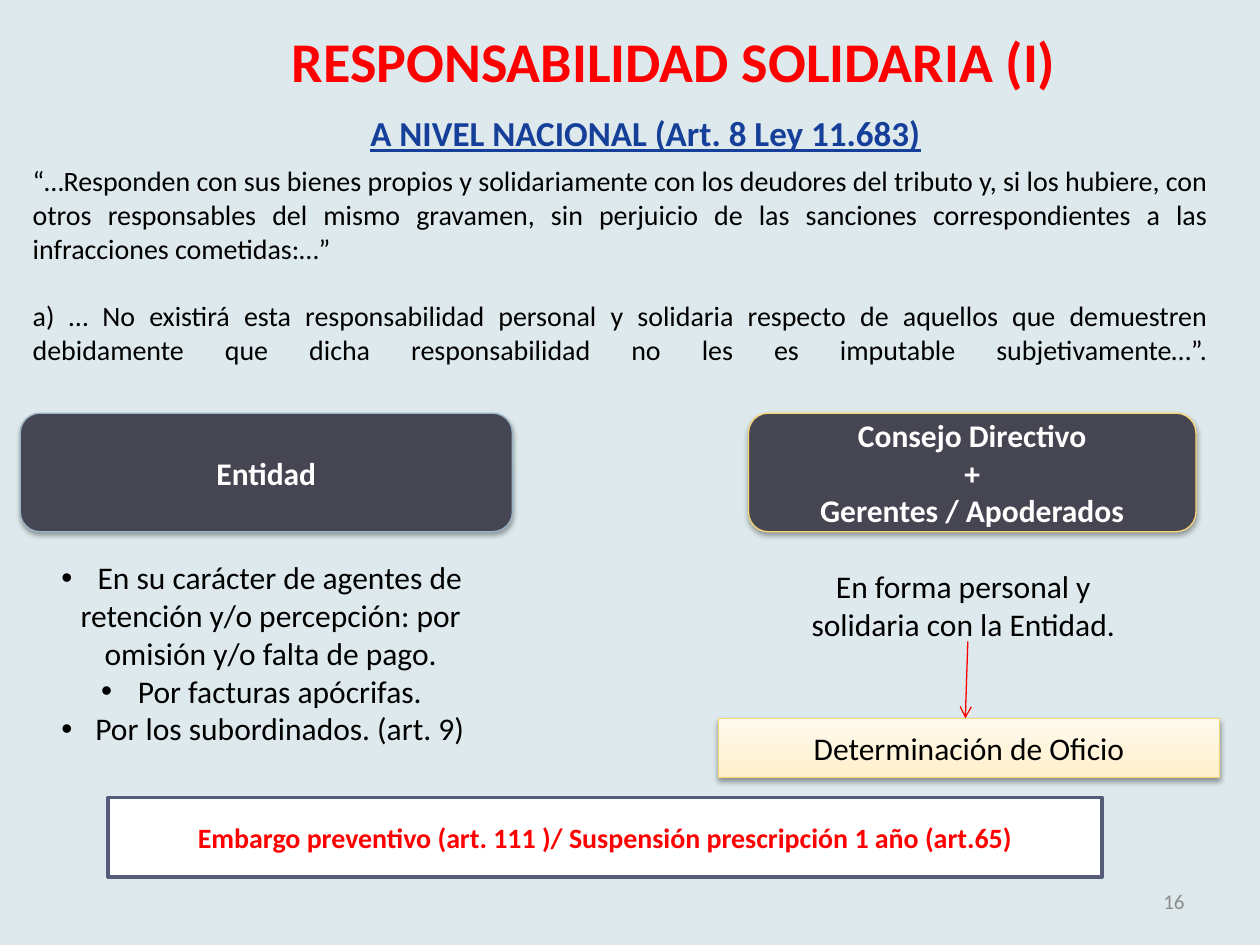
from lxml.etree import SubElement
from pptx import Presentation
from pptx.dml.color import RGBColor
from pptx.enum.shapes import MSO_CONNECTOR, MSO_SHAPE
from pptx.enum.text import MSO_ANCHOR, PP_ALIGN
from pptx.oxml.ns import qn
from pptx.util import Cm, Pt

TITLE = "RESPONSABILIDAD SOLIDARIA (I)"
GOLD, BLACK, RED, WHITE, DARK = "F8D774", "000000", "FF0000", "FFFFFF", "464653"
GRADIENT = [(0, "FFEEC9"), (35, "FFF3D8"), (100, "FFFAF0")]
QUOTE = [
    "“…Responden con sus bienes propios y solidariamente con los deudores del tributo y, "
    "si los hubiere, con otros responsables del mismo gravamen, sin perjuicio de las "
    "sanciones correspondientes a las infracciones cometidas:…”",
    "a) … No existirá esta responsabilidad personal y solidaria respecto de aquellos que "
    "demuestren debidamente que dicha responsabilidad no les es imputable "
    "subjetivamente…”.\v",
]
ENTITY_DUTIES = [
    " En su carácter de agentes de retención y/o percepción: por omisión y/o falta de pago.",
    " Por facturas apócrifas.",
    " Por los subordinados. (art. 9)",
]
TEXT_BOXES = [
    dict(box=(1.9, 2.13, 22.23, 1.04), lines=["A NIVEL NACIONAL (Art. 8 Ley 11.683)"],
         size=20, color="163F9A", bold=True, underline=True),
    dict(box=(18.21, 17.65, 5.92, 1.02), lines=["16"], size=12, color="8C8C8C",
         align=PP_ALIGN.RIGHT, anchor=MSO_ANCHOR.MIDDLE),
    dict(box=(0.41, 3.18, 24.2, 5.74), lines=QUOTE, size=16, align=PP_ALIGN.JUSTIFY, gap=19.5),
    dict(box=(0.99, 11.13, 8.94, 4.11), lines=ENTITY_DUTIES, bullet="•"),
    dict(box=(15.75, 11.3, 7.34, 2.57), lines=["En forma personal y solidaria con la Entidad."]),
]
ROUNDED, RECTANGLE = MSO_SHAPE.ROUNDED_RECTANGLE, MSO_SHAPE.RECTANGLE
PANELS = [
    dict(kind=ROUNDED, box=(0.41, 8.33, 9.92, 2.39), fill=DARK, line="9AB4CA", shadow=35,
         lines=["Entidad"], color=WHITE, bold=True),
    dict(kind=ROUNDED, box=(15.09, 8.33, 9.02, 2.39), fill=DARK, line=GOLD, shadow=35,
         lines=["Consejo Directivo", "+", "Gerentes / Apoderados"], color=WHITE, bold=True),
    dict(kind=RECTANGLE, box=(14.48, 14.48, 10.11, 1.2), fill=GRADIENT, line=GOLD, shadow=38,
         lines=["Determinación de Oficio"]),
    dict(kind=RECTANGLE, box=(2.18, 16.08, 20.04, 1.6), fill=WHITE, line="545C79", width=2,
         lines=["Embargo preventivo (art. 111 )/ Suspensión prescripción 1 año (art.65)"],
         size=16, color=RED, bold=True),
]
ARROW = (19.51, 12.93, 19.46, 14.48)


def rgb(value):
    return RGBColor.from_string(value)


def lengths(values):
    return [Cm(value) for value in values]


def write(shape, lines, size=18, color=BLACK, bold=False, underline=False,
          align=PP_ALIGN.CENTER, anchor=MSO_ANCHOR.TOP, gap=0, bullet=None):
    frame = shape.text_frame
    frame.word_wrap = True
    frame.vertical_anchor = anchor
    for index, line in enumerate(lines):
        paragraph = frame.add_paragraph() if index else frame.paragraphs[0]
        paragraph.text = line
        paragraph.alignment = align
        paragraph.space_before = Pt(gap if index else 0)
        if bullet:
            properties = paragraph._p.get_or_add_pPr()
            SubElement(properties, qn("a:buFont"), typeface="Arial")
            SubElement(properties, qn("a:buChar"), char=bullet)
        font = paragraph.font
        font.name, font.size, font.bold, font.underline = "Calibri", Pt(size), bold, underline
        font.color.rgb = rgb(color)


def fill_gradient(shape, stops):
    shape.fill.gradient()
    shape.fill.gradient_angle = 90
    stop_list = shape._element.spPr.find(".//" + qn("a:gsLst"))
    for stop in list(stop_list):
        stop_list.remove(stop)
    for position, color in stops:
        stop = SubElement(stop_list, qn("a:gs"), pos=str(position * 1000))
        SubElement(stop, qn("a:srgbClr"), val=color)


def add_shadow(shape, opacity):
    effects = shape._element.spPr.find(qn("a:effectLst"))
    shadow = SubElement(effects, qn("a:outerShdw"), blurRad=str(Pt(3.1)), dist=str(Pt(1.7)),
                        dir="5400000", rotWithShape="0")
    color = SubElement(shadow, qn("a:srgbClr"), val=BLACK)
    SubElement(color, qn("a:alpha"), val=str(opacity * 1000))


def add_panel(slide, kind, box, fill, line, width=0.75, shadow=None, **text):
    shape = slide.shapes.add_shape(kind, *lengths(box))
    shape.shadow.inherit = False
    if isinstance(fill, list):
        fill_gradient(shape, fill)
    else:
        shape.fill.solid()
        shape.fill.fore_color.rgb = rgb(fill)
    shape.line.color.rgb = rgb(line)
    shape.line.width = Pt(width)
    if shadow:
        add_shadow(shape, shadow)
    write(shape, anchor=MSO_ANCHOR.MIDDLE, **text)


def add_arrow(slide, points, color):
    arrow = slide.shapes.add_connector(MSO_CONNECTOR.STRAIGHT, *lengths(points))
    arrow.line.color.rgb = rgb(color)
    arrow.line.width = Pt(0.75)
    SubElement(arrow.line._get_or_add_ln(), qn("a:tailEnd"), type="arrow")
    SubElement(arrow._element.spPr, qn("a:effectLst"))


def main():
    presentation = Presentation()
    presentation.slide_width, presentation.slide_height = Cm(25.4), Cm(19.05)
    slide = presentation.slides.add_slide(presentation.slide_layouts[5])
    slide.background.fill.solid()
    slide.background.fill.fore_color.rgb = rgb("DDE9EC")

    title = slide.shapes.title
    title.left, title.top, title.width, title.height = lengths((1.78, 0.41, 23.62, 1.63))
    write(title, [TITLE], size=32, color=RED, bold=True)

    for item in TEXT_BOXES:
        text = dict(item)
        write(slide.shapes.add_textbox(*lengths(text.pop("box"))), **text)
    for panel in PANELS:
        add_panel(slide, **panel)
    add_arrow(slide, ARROW, RED)
    presentation.save("out.pptx")


if __name__ == "__main__":
    main()
